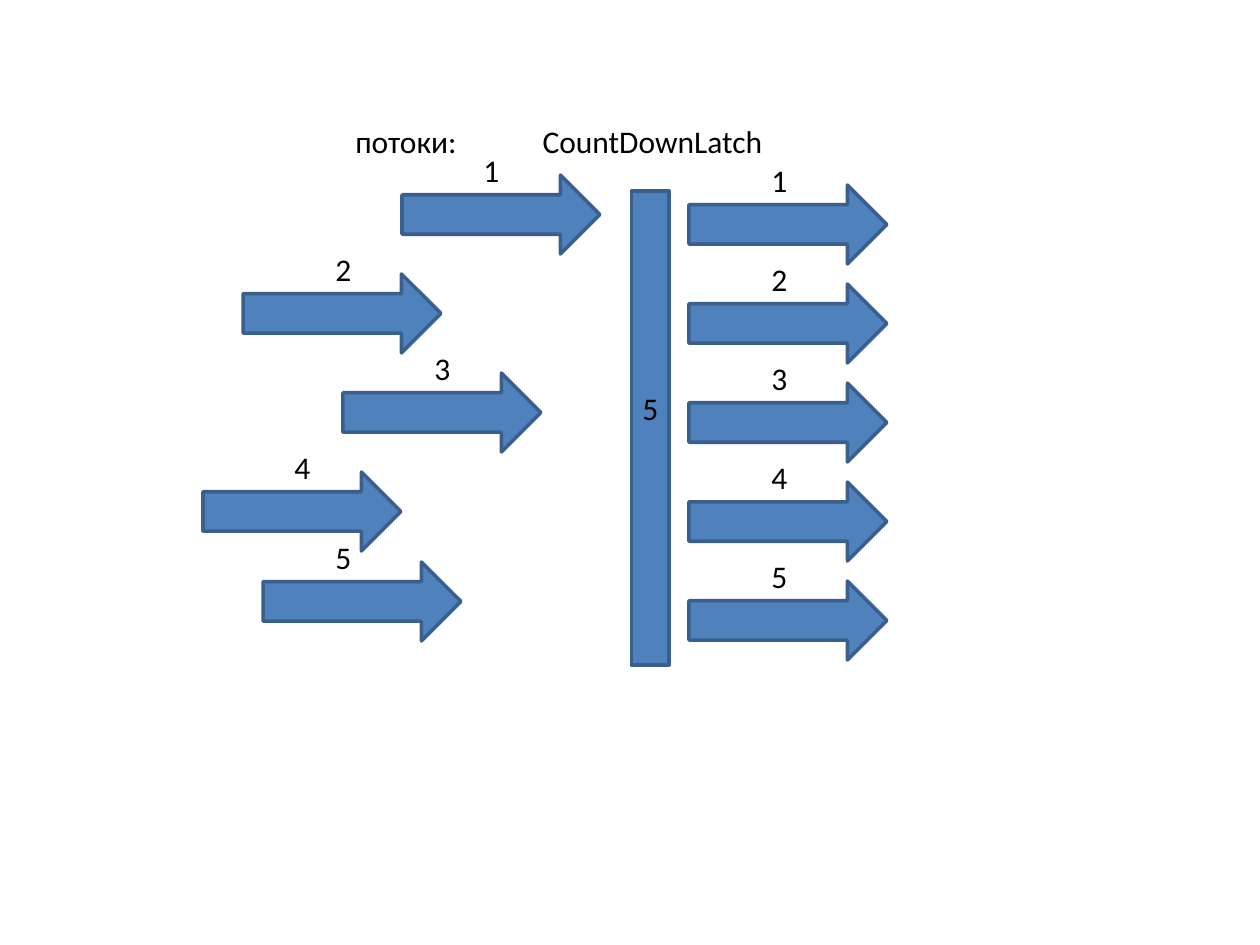
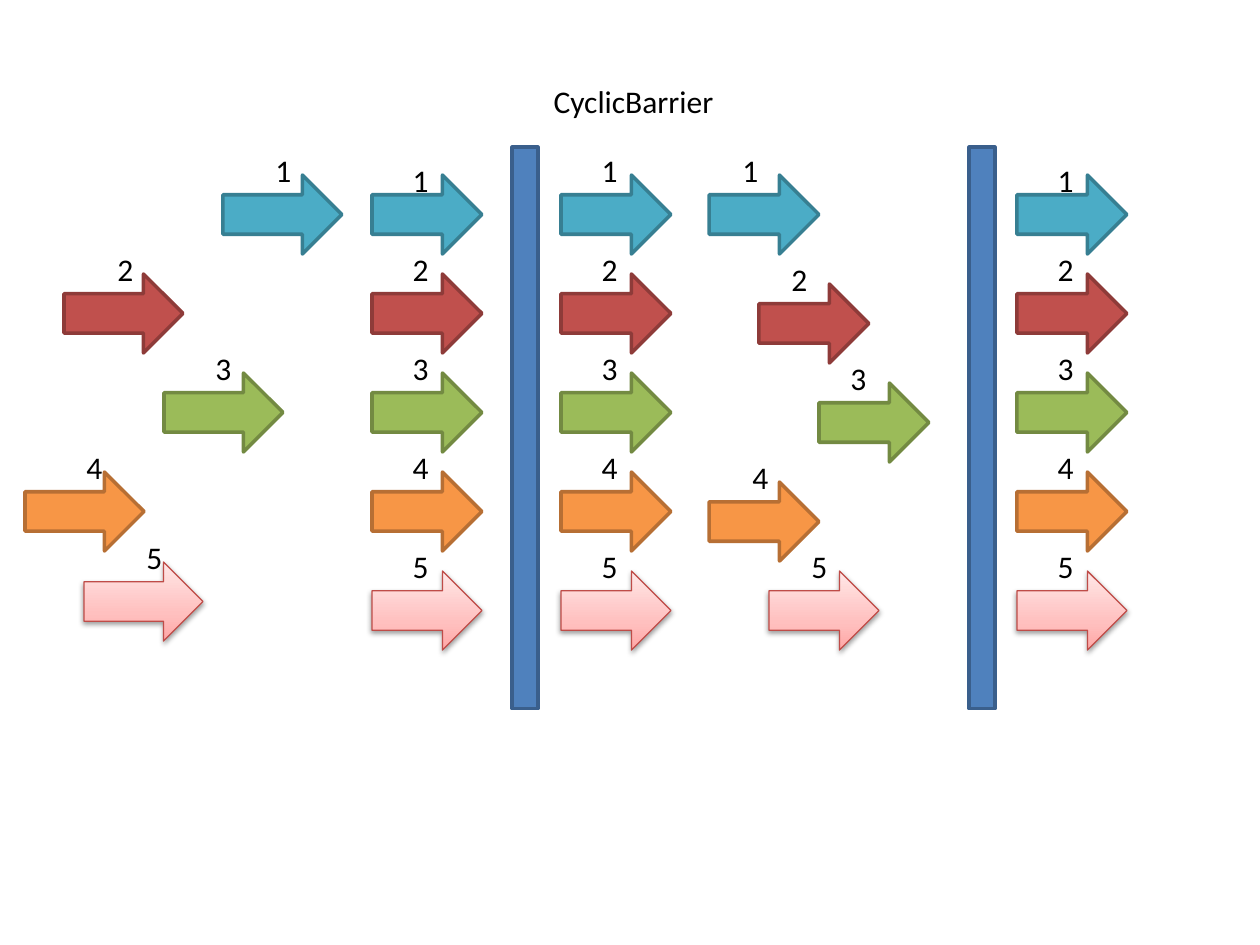
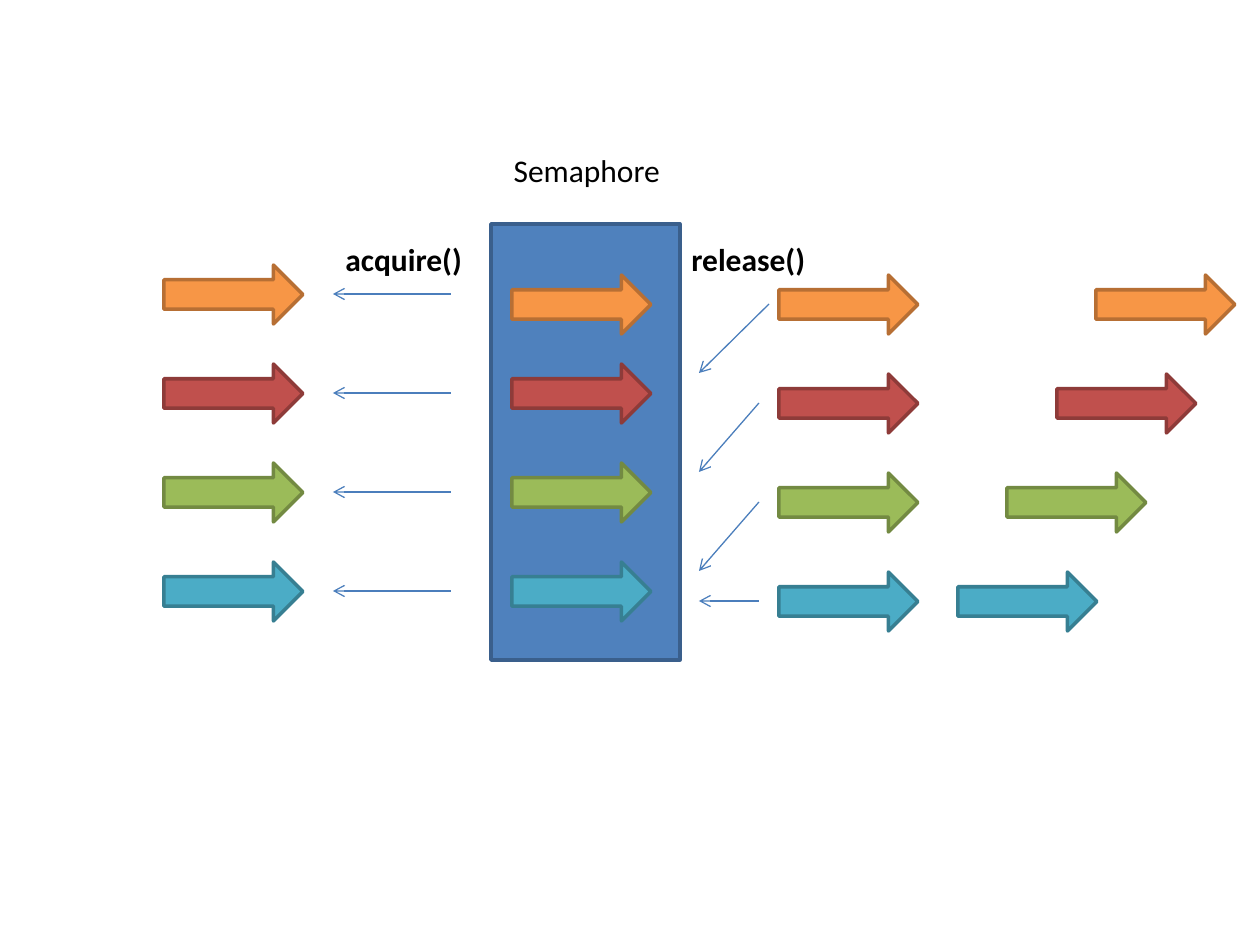
from pptx import Presentation
from pptx.dml.color import RGBColor
from pptx.enum.shapes import MSO_CONNECTOR, MSO_SHAPE
from pptx.enum.text import MSO_ANCHOR, MSO_AUTO_SIZE, PP_ALIGN
from pptx.oxml import parse_xml
from pptx.oxml.ns import nsdecls, qn
from pptx.util import Emu, Pt

PX = 914400 / 126
ROW = 99
TEXT_HEIGHT = 50
FONT = "Calibri"
TITLE_ONLY = 5

COLOURS = {
    "blue": "4F81BD", "blue edge": "3A5F8C",
    "teal": "4BACC6", "teal edge": "377F92",
    "red": "C0504D", "red edge": "8E3B39",
    "green": "9BBB59", "green edge": "738A42",
    "orange": "F79646", "orange edge": "B76F34",
    "pink edge": "BF4C48",
    "pink dark": "FFA6A5", "pink middle": "FFC0BF", "pink light": "FFE7E7",
    "connector": "4B7EBC", "text": "000000", "shadow": "000000",
}
PINK_STOPS = ((0, "pink dark"), (35, "pink middle"), (100, "pink light"))
THREAD_COLOURS = ("teal", "red", "green", "orange", "pink")
PERMIT_COLOURS = ("orange", "red", "green", "teal")
LEVEL = (0, 0, 0, 0, 0)


def px(length):
    return Emu(round(length * PX))


def colour(name):
    return RGBColor.from_string(COLOURS[name])


# Shared parts
def write(shape, text, wrap=False, bold=False):
    frame = shape.text_frame
    frame.word_wrap = wrap
    frame.auto_size = MSO_AUTO_SIZE.SHAPE_TO_FIT_TEXT
    frame.vertical_anchor = MSO_ANCHOR.TOP
    frame.text = text
    para = frame.paragraphs[0]
    para.alignment = PP_ALIGN.LEFT
    para.font.name = FONT
    para.font.size = Pt(18)
    para.font.bold = bold
    para.font.color.rgb = colour("text")


def add_text(page, text, left, top, width, **style):
    box = page.shapes.add_textbox(px(left), px(top), px(width), px(TEXT_HEIGHT))
    write(box, text, **style)


def add_page(deck, title, left, top, width):
    page = deck.slides.add_slide(deck.slide_layouts[TITLE_ONLY])
    box = page.shapes.title
    box.left, box.top = px(left), px(top)
    box.width, box.height = px(width), px(TEXT_HEIGHT)
    write(box, title)
    return page


def fill_pink(shape):
    stops = "".join(
        f'<a:gs pos="{position * 1000}"><a:srgbClr val="{COLOURS[name]}"/></a:gs>'
        for position, name in PINK_STOPS)
    properties = shape.element.spPr
    properties.find(qn("a:prstGeom")).addnext(parse_xml(
        f'<a:gradFill {nsdecls("a")} rotWithShape="1"><a:gsLst>{stops}</a:gsLst>'
        '<a:lin ang="16200000" scaled="1"/></a:gradFill>'))
    properties.find(qn("a:effectLst")).append(parse_xml(
        f'<a:outerShdw {nsdecls("a")} blurRad="{Pt(3.1)}" dist="{Pt(1.6)}" '
        f'dir="5400000" rotWithShape="0"><a:srgbClr val="{COLOURS["shadow"]}">'
        '<a:alpha val="38000"/></a:srgbClr></a:outerShdw>'))


def add_block(page, preset, left, top, width, height, name):
    shape = page.shapes.add_shape(preset, px(left), px(top), px(width), px(height))
    shape.shadow.inherit = False
    shape.line.color.rgb = colour(f"{name} edge")
    if name == "pink":
        shape.line.width = Pt(0.75)
        fill_pink(shape)
    else:
        shape.line.width = Pt(2)
        shape.fill.solid()
        shape.fill.fore_color.rgb = colour(name)
    return shape


def add_barrier(page, centre_x, centre_y, length, thickness):
    bar = add_block(page, MSO_SHAPE.MATH_MINUS, centre_x - length / 2,
                    centre_y - thickness / 2, length, thickness, "blue")
    bar.rotation = 90


def add_threads(page, box, names, shifts=LEVEL, drops=LEVEL):
    """Stack one arrow per name; box is the place and size of the first one."""
    left, top, width, height = box
    for row, (name, shift, drop) in enumerate(zip(names, shifts, drops)):
        add_block(page, MSO_SHAPE.RIGHT_ARROW, left + shift,
                  top + row * ROW + drop, width, height, name)


def add_numbers(page, box, shifts=LEVEL, drops=LEVEL, wrap=True):
    """Number the threads from 1; box is left, top and width of the first."""
    left, top, width = box
    for row, (shift, drop) in enumerate(zip(shifts, drops)):
        add_text(page, str(row + 1), left + shift, top + row * ROW + drop,
                 width, wrap=wrap)


def add_pointer(page, start, end):
    line = page.shapes.add_connector(MSO_CONNECTOR.STRAIGHT, *map(px, start + end))
    line.line.color.rgb = colour("connector")
    line.line.width = Pt(0.75)
    line.line._get_or_add_ln().append(
        parse_xml(f'<a:tailEnd {nsdecls("a")} type="arrow"/>'))
    line.element.spPr.append(parse_xml(f'<a:effectLst {nsdecls("a")}/>'))


# Slides
def build_latch(deck):
    page = add_page(deck, "CountDownLatch", 530, 116, 248)
    add_text(page, "потоки:", 343, 116, 129)
    blues = ("blue",) * 5
    drops = (0, 0, 0, 0, -9)

    # Threads arriving, the latch, threads released
    add_threads(page, (402, 175, 198, 79), blues, (0, -159, -59, -199, -139), drops)
    add_numbers(page, (471, 145, 42), (0, -148, -49, -189, -148), drops, wrap=False)
    add_barrier(page, 650, 428, 645, 159)
    add_text(page, "5", 630, 383, 42)
    add_threads(page, (689, 185, 198, 79), blues)
    add_numbers(page, (759, 155, 42), wrap=False)


def build_barrier(deck):
    page = add_page(deck, "CyclicBarrier", 541, 76, 186)
    first_lower = (10, 0, 0, 0, 0)

    # Threads on the way to the first barrier
    drops = (0, 0, 0, 0, -9)
    add_threads(page, (223, 175, 119, 79), THREAD_COLOURS,
                (0, -159, -59, -198, -139), drops)
    add_numbers(page, (263, 145, 25), (0, -158, -60, -189, -129), drops)

    # Aligned columns beside the barriers
    for left, number_width, number_drops in (
            (372, 23, first_lower), (561, 23, LEVEL), (1017, 23, first_lower)):
        add_threads(page, (left, 175, 110, 79), THREAD_COLOURS)
        add_numbers(page, (left + 30, 145, number_width), drops=number_drops)
    for centre in (525, 982):
        add_barrier(page, centre, 428, 764, 110)

    # Threads on the way to the second barrier
    add_threads(page, (709, 175, 110, 79), THREAD_COLOURS,
                (0, 50, 110, 0, 60), (0, 10, 10, 10, 0))
    add_numbers(page, (730, 145, 29), (0, 49, 108, 10, 69), (0, 10, 10, 10, 0))


def build_semaphore(deck):
    page = add_page(deck, "Semaphore", 501, 145, 174)
    add_block(page, MSO_SHAPE.RECTANGLE, 491, 224, 189, 436, "blue")

    # Threads before, inside and after the semaphore
    for left, top, shifts, drops in (
            (164, 265, LEVEL, LEVEL),
            (512, 265, LEVEL, (10, 0, 0, 0)),
            (779, 275, LEVEL, LEVEL),
            (1096, 275, (0, -39, -89, -138), LEVEL)):
        add_threads(page, (left, top, 139, 59), PERMIT_COLOURS, shifts, drops)

    # Acquire and release pointers
    add_text(page, "acquire()", 333, 234, 142, bold=True)
    add_text(page, "release()", 679, 234, 140, bold=True)
    for row, (start, fall) in enumerate(((769, 69), (759, 69), (759, 69), (759, 0))):
        acquire_y = 294 + row * ROW
        release_y = 304 + row * ROW
        add_pointer(page, (451, acquire_y), (333, acquire_y))
        add_pointer(page, (start, release_y), (699, release_y + fall))


def main():
    deck = Presentation()
    deck.slide_width, deck.slide_height = px(1260), px(945)
    build_latch(deck)
    build_barrier(deck)
    build_semaphore(deck)
    deck.save("out.pptx")


if __name__ == "__main__":
    main()
